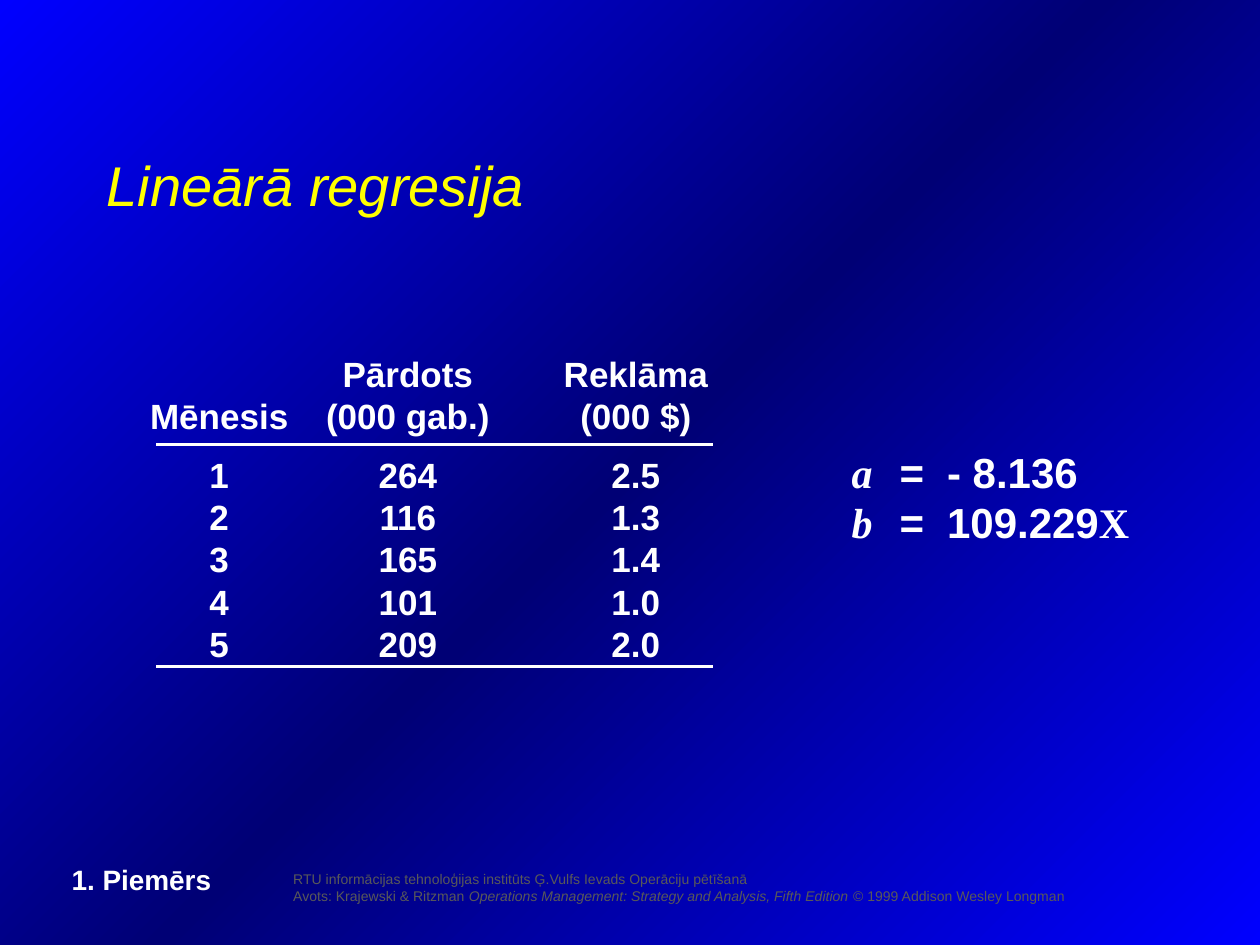
from copy import deepcopy
from dataclasses import dataclass

from pptx import Presentation
from pptx.dml.color import RGBColor as Color
from pptx.enum.shapes import MSO_CONNECTOR as Connector
from pptx.enum.text import MSO_ANCHOR as Anchor, PP_ALIGN as Align
from pptx.oxml.ns import qn
from pptx.util import Pt
from lxml.etree import SubElement


@dataclass(frozen=True)
class Theme:
    white: str = "FFFFFF"
    yellow: str = "FFFF00"
    grey: str = "595959"
    blue: str = "0000FF"
    navy: str = "000075"
    sans: str = "Arial"
    serif: str = "Times New Roman"
    title: int = 32
    formula: int = 24
    table: int = 20
    label: int = 16
    footer: int = 8
    rule: int = 2


THEME = Theme()
NO_GRID_STYLE = "{2D5ABB26-0587-4C30-8999-92F81FD0307C}"


def write_text(frame, lines, size, color=THEME.white, font=THEME.sans, bold=False,
               align=None, spacing=None, tabs=()):
    """Write lines, each a list of (text, overrides) spans, into a text frame."""
    for index, line in enumerate(lines):
        para = frame.paragraphs[0] if index == 0 else frame.add_paragraph()
        if tabs:
            tab_list = SubElement(para._p.get_or_add_pPr(), qn("a:tabLst"))
            for position in tabs:
                SubElement(tab_list, qn("a:tab"), pos=str(Pt(position)), algn="l")
        para.alignment = align
        if spacing:
            para.line_spacing = Pt(spacing)
        for text, overrides in line:
            span = para.add_run()
            span.text = text
            span.font.size = Pt(size)
            span.font.bold = bold
            span.font.italic = overrides.get("italic", False)
            span.font.name = overrides.get("font", font)
            span.font.color.rgb = Color.from_string(color)


def add_text(page, bounds, lines, size, wrap=True, anchor=Anchor.TOP, **style):
    box = page.shapes.add_textbox(*map(Pt, bounds))
    box.text_frame.word_wrap = wrap
    box.text_frame.vertical_anchor = anchor
    write_text(box.text_frame, lines, size, **style)


def paint_background(page):
    fill = page.background.fill
    fill.gradient()
    fill.gradient_angle = 135
    first = next(page._element.iter(qn("a:gs")))
    first.addnext(deepcopy(first))
    stops = zip(fill.gradient_stops, (THEME.blue, THEME.navy, THEME.blue), (0, 0.5, 1))
    for stop, color, position in stops:
        stop.color.rgb = Color.from_string(color)
        stop.position = position


def add_rule(page, left, right, top):
    rule = page.shapes.add_connector(Connector.STRAIGHT, Pt(left), Pt(top), Pt(right), Pt(top))
    rule.line.color.rgb = Color.from_string(THEME.white)
    rule.line.width = Pt(THEME.rule)
    SubElement(rule._element.spPr, qn("a:effectLst"))


def add_sales_table(page, left, top):
    rows = [("Mēnesis", "Pārdots\n(000 gab.)", "Reklāma\n(000 $)"),
            ("1", "264", "2.5"), ("2", "116", "1.3"), ("3", "165", "1.4"),
            ("4", "101", "1.0"), ("5", "209", "2.0")]
    widths = (82.6, 133, 127.6)
    line = 24
    # The first data row is taller, to leave a gap below the header rule
    heights = [2 * line, line + 10] + [line] * 4
    frame = page.shapes.add_table(len(rows), len(widths), Pt(left), Pt(top),
                                  Pt(sum(widths)), Pt(sum(heights)))
    table = frame.table
    table.first_row = table.horz_banding = False
    table._tbl.tblPr.find(qn("a:tableStyleId")).text = NO_GRID_STYLE
    for column, width in zip(table.columns, widths):
        column.width = Pt(width)
    for row, height, values in zip(table.rows, heights, rows):
        row.height = Pt(height)
        for cell, value in zip(row.cells, values):
            cell.fill.background()
            cell.margin_left = cell.margin_right = cell.margin_top = cell.margin_bottom = 0
            cell.vertical_anchor = Anchor.BOTTOM
            write_text(cell.text_frame, [[(text, {})] for text in value.split("\n")],
                       THEME.table, bold=True, align=Align.CENTER, spacing=line)
    # Rules below the header and below the last row
    for offset in (heights[0] + 4.5, sum(heights) + 1.5):
        add_rule(page, left + 5.3, left + 323.5, top + offset)


def add_coefficients(page, bounds):
    symbol = {"font": THEME.serif, "italic": True}
    lines = [[("a", symbol), ("\t=\t- 8.136", {})],
             [("b", symbol), ("\t=\t109.229", {}), ("X", {"font": THEME.serif})]]
    add_text(page, bounds, lines, THEME.formula, bold=True,
             spacing=28.6, tabs=(27.4, 54.6))


def add_footer(page, bounds):
    lines = [[("RTU informācijas tehnoloģijas institūts Ģ.Vulfs Ievads Operāciju pētīšanā", {})],
             [("Avots: Krajewski & Ritzman ", {}),
              ("Operations Management: Strategy and Analysis, Fifth Edition", {"italic": True}),
              (" © 1999 Addison Wesley Longman", {})]]
    add_text(page, bounds, lines, THEME.footer, color=THEME.grey)


def main():
    deck = Presentation()
    deck.slide_width, deck.slide_height = Pt(720), Pt(540)
    page = deck.slides.add_slide(deck.slide_layouts[6])
    paint_background(page)
    add_footer(page, (160.5, 494, 559.5, 26.6))
    add_sales_table(page, 84, 201.5)
    add_coefficients(page, (479.5, 251.8, 190, 64.8))
    # Title and example label
    add_text(page, (54, 60, 432, 90), [[("Lineārā regresija", {"italic": True})]],
             THEME.title, color=THEME.yellow, anchor=Anchor.MIDDLE)
    add_text(page, (33.8, 489.6, 94.3, 26.6), [[("1. Piemērs", {})]],
             THEME.label, wrap=False, bold=True)
    deck.save("out.pptx")


if __name__ == "__main__":
    main()
